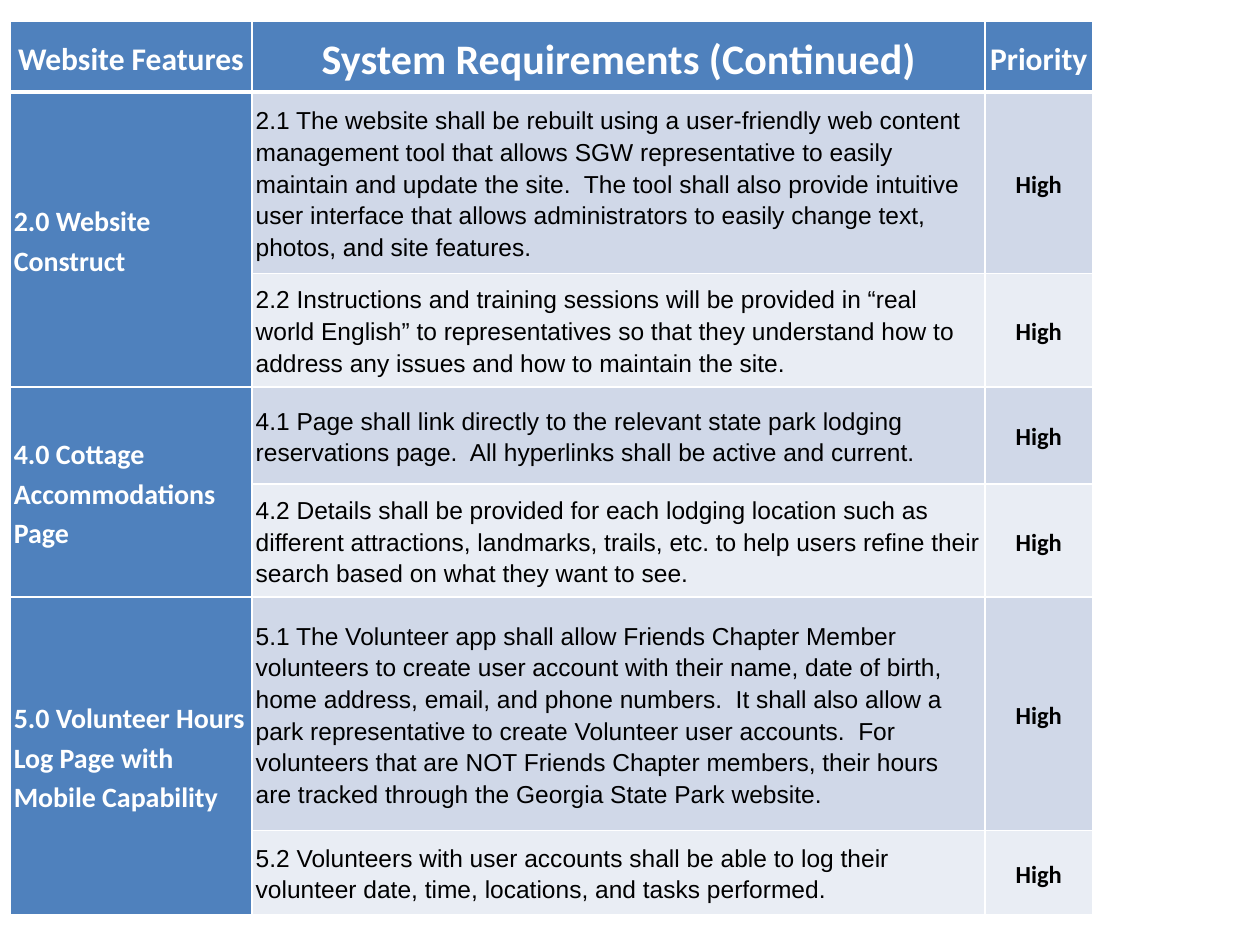
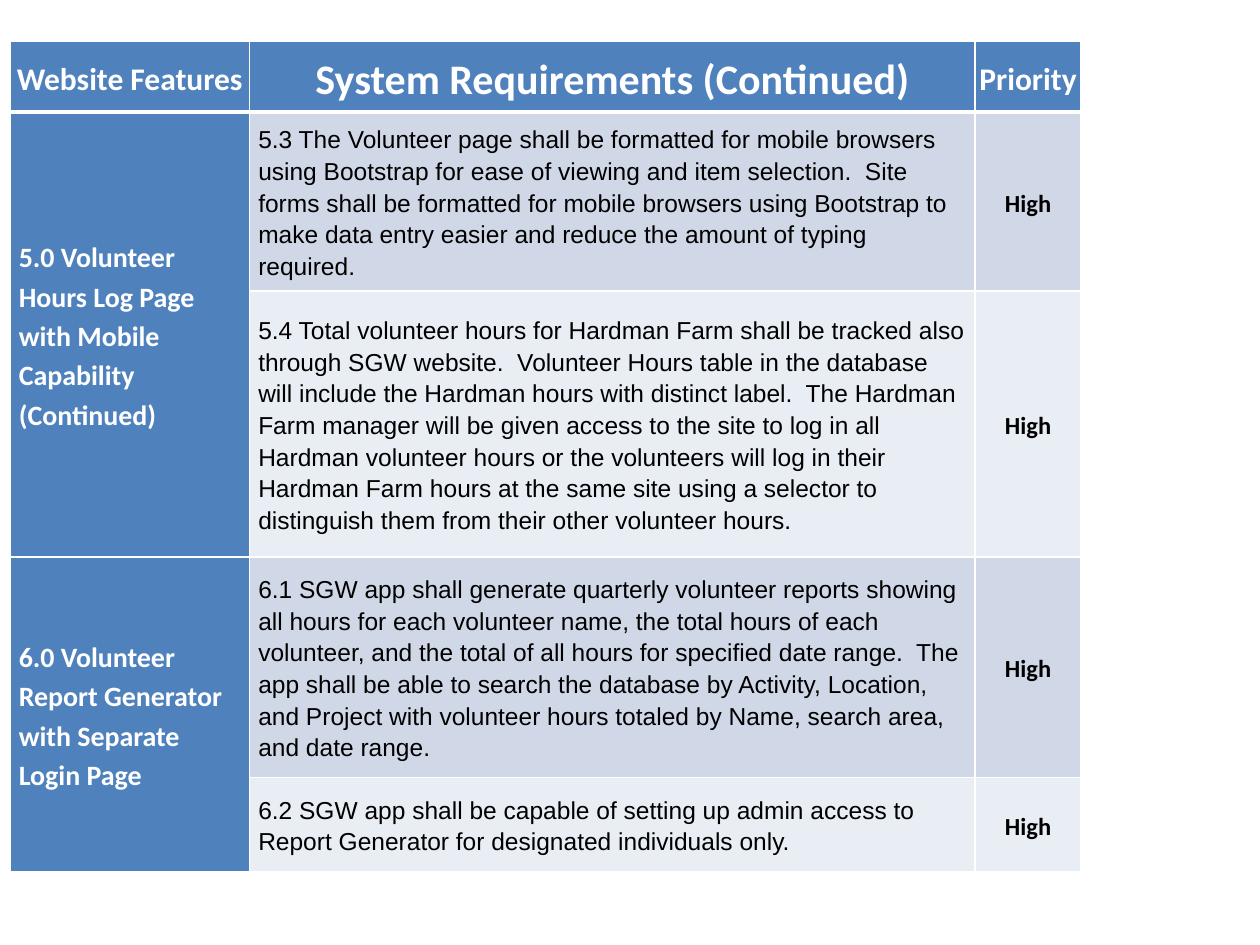
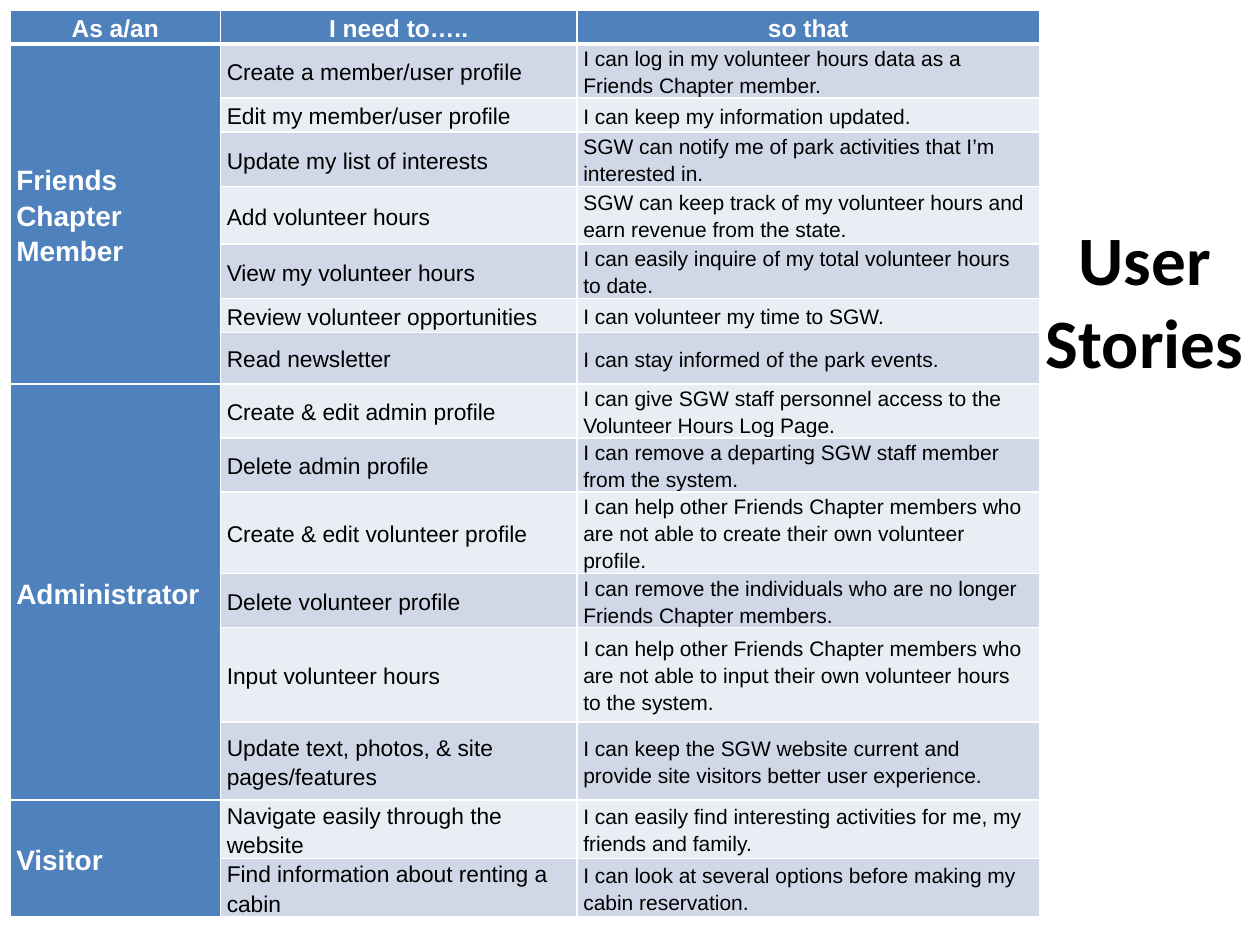
import pptx
import pptx.util
import pptx.dml.color
import pptx.enum.text
import pptx.oxml
import pptx.oxml.ns

Inches, Pt = pptx.util.Inches, pptx.util.Pt
RGBColor = pptx.dml.color.RGBColor
ALIGN = pptx.enum.text.PP_ALIGN
MIDDLE = pptx.enum.text.MSO_ANCHOR.MIDDLE

BLUE = RGBColor(0x4F, 0x81, 0xBD)
BANDS = [RGBColor(0xE9, 0xED, 0xF4), RGBColor(0xD0, 0xD8, 0xE8)]
WHITE = RGBColor(0xFF, 0xFF, 0xFF)
BLACK = RGBColor(0, 0, 0)

LEFT = 0.08
HEADS = ["Website Features", "System Requirements (Continued)", "Priority"]

# Formats: (font, size, bold, centred) for each column
REQ_HEAD = [("Calibri", 18, True, True), ("Calibri", 24, True, True),
            ("Calibri", 18, True, True)]
REQ_BODY = [("Calibri", 16, True, False), ("Arial", 14, False, False),
            ("Calibri", 14, True, True)]
STORY_HEAD = [("Arial", 14, True, True)] * 3
STORY_BODY = [("Arial", 16, True, False), ("Arial", 13, False, False),
              ("Arial", 12, False, False)]

PAGES = [
    {"title": None, "top": 0.17, "pads": (0.03, 0.03),
     "cols": [1.92, 5.82, 0.85],
     "rows": [0.56, 1.44, 0.9, 0.77, 0.9, 1.85, 0.67],
     "heads": HEADS, "styles": (REQ_HEAD, REQ_BODY),
     "groups": [
         ("2.0 Website Construct", [
             ("2.1 The website shall be rebuilt using a user-friendly web content "
              "management tool that allows SGW representative to easily maintain and "
              "update the site.  The tool shall also provide intuitive user interface "
              "that allows administrators to easily change text, photos, and site "
              "features.", "High"),
             ("2.2 Instructions and training sessions will be provided in “real world "
              "English” to representatives so that they understand how to address any "
              "issues and how to maintain the site.", "High")]),
         ("4.0 Cottage Accommodations Page", [
             ("4.1 Page shall link directly to the relevant state park lodging "
              "reservations page.  All hyperlinks shall be active and current.", "High"),
             ("4.2 Details shall be provided for each lodging location such as "
              "different attractions, landmarks, trails, etc. to help users refine "
              "their search based on what they want to see.", "High")]),
         ("5.0 Volunteer Hours Log Page with Mobile Capability", [
             ("5.1 The Volunteer app shall allow Friends Chapter Member volunteers to "
              "create user account with their name, date of birth, home address, email, "
              "and phone numbers.  It shall also allow a park representative to create "
              "Volunteer user accounts.  For volunteers that are NOT Friends Chapter "
              "members, their hours are tracked through the Georgia State Park website.",
              "High"),
             ("5.2 Volunteers with user accounts shall be able to log their volunteer "
              "date, time, locations, and tasks performed.", "High")])]},
    {"title": None, "top": 0.33, "pads": (0.03, 0.07),
     "cols": [1.9, 5.76, 0.84],
     "rows": [0.56, 1.42, 2.11, 1.75, 0.75],
     "heads": HEADS, "styles": (REQ_HEAD, REQ_BODY),
     "groups": [
         ("5.0 Volunteer Hours Log Page with Mobile Capability (Continued)", [
             ("5.3 The Volunteer page shall be formatted for mobile browsers using "
              "Bootstrap for ease of viewing and item selection.  Site forms shall be "
              "formatted for mobile browsers using Bootstrap to make data entry easier "
              "and reduce the amount of typing required.", "High"),
             ("5.4 Total volunteer hours for Hardman Farm shall be tracked also through "
              "SGW website.  Volunteer Hours table in the database will include the "
              "Hardman hours with distinct label.  The Hardman Farm manager will be "
              "given access to the site to log in all Hardman volunteer hours or the "
              "volunteers will log in their Hardman Farm hours at the same site using a "
              "selector to distinguish them from their other volunteer hours.", "High")]),
         ("6.0 Volunteer Report Generator with Separate Login Page", [
             ("6.1 SGW app shall generate quarterly volunteer reports showing all hours "
              "for each volunteer name, the total hours of each volunteer, and the total "
              "of all hours for specified date range.  The app shall be able to search "
              "the database by Activity, Location, and Project with volunteer hours "
              "totaled by Name, search area, and date range.", "High"),
             ("6.2 SGW app shall be capable of setting up admin access to Report "
              "Generator for designated individuals only.", "High")])]},
    {"title": "User Stories", "top": 0.08, "pads": (0.05, 0.05),
     "cols": [1.67, 2.83, 3.67],
     "rows": [0.27, 0.41, 0.27, 0.41, 0.46, 0.41, 0.27, 0.41,
              0.41, 0.41, 0.62, 0.41, 0.75, 0.62, 0.41, 0.41],
     "heads": ["As a/an", "I need to…..", "so that"],
     "styles": (STORY_HEAD, STORY_BODY),
     "groups": [
         ("Friends Chapter Member", [
             ("Create a member/user profile",
              "I can log in my volunteer hours data as a Friends Chapter member."),
             ("Edit my member/user profile", "I can keep my information updated."),
             ("Update my list of interests",
              "SGW can notify me of park activities that I’m interested in."),
             ("Add volunteer hours",
              "SGW can keep track of my volunteer hours and earn revenue from the state."),
             ("View my volunteer hours",
              "I can easily inquire of my total volunteer hours to date."),
             ("Review volunteer opportunities", "I can volunteer my time to SGW."),
             ("Read newsletter", "I can stay informed of the park events.")]),
         ("Administrator", [
             ("Create & edit admin profile",
              "I can give SGW staff personnel access to the Volunteer Hours Log Page."),
             ("Delete admin profile",
              "I can remove a departing SGW staff member from the system."),
             ("Create & edit volunteer profile",
              "I can help other Friends Chapter members who are not able to create "
              "their own volunteer profile."),
             ("Delete volunteer profile",
              "I can remove the individuals who are no longer Friends Chapter members."),
             ("Input volunteer hours",
              "I can help other Friends Chapter members who are not able to input "
              "their own volunteer hours to the system."),
             ("Update text, photos, & site pages/features",
              "I can keep the SGW website current and provide site visitors better "
              "user experience.")]),
         ("Visitor", [
             ("Navigate easily through the website",
              "I can easily find interesting activities for me, my friends and family."),
             ("Find information about renting a cabin",
              "I can look at several options before making my cabin reservation.")])]},
]


def write(frame, text, font="Calibri", size=14, bold=False, center=False,
          color=BLACK, space=None):
    para = frame.paragraphs[0]
    para.alignment = ALIGN.CENTER if center else ALIGN.LEFT
    para.line_spacing = space
    run = para.add_run()
    run.text = text
    run.font.name = font
    run.font.size = Pt(size)
    run.font.bold = bold
    run.font.color.rgb = color


def rule(cell, top, bottom):
    """Give a cell white borders, with widths in points above and below."""
    for side, width in (("L", 1), ("R", 1), ("T", top), ("B", bottom)):
        cell._tc.get_or_add_tcPr().append(pptx.oxml.parse_xml(
            f'<a:ln{side} {pptx.oxml.ns.nsdecls("a")} w="{Pt(width)}">'
            f'<a:solidFill><a:srgbClr val="{WHITE}"/></a:solidFill></a:ln{side}>'))


deck = pptx.Presentation()
deck.slide_width, deck.slide_height = Inches(10), Inches(7.5)
ONLY, BLANK = deck.slide_layouts[5], deck.slide_layouts[6]

for page in PAGES:
    slide = deck.slides.add_slide(ONLY if page["title"] else BLANK)
    if page["title"]:
        title = slide.shapes.title
        title.left, title.top = Inches(8.17), Inches(1.75)
        title.width, title.height = Inches(1.83), Inches(1.25)
        title.text_frame.vertical_anchor = MIDDLE
        title.text_frame.auto_size = pptx.enum.text.MSO_AUTO_SIZE.NONE
        write(title.text_frame, page["title"], size=39.6, bold=True, center=True)

    cols, rows = page["cols"], page["rows"]
    table = slide.shapes.add_table(
        len(rows), len(cols), Inches(LEFT), Inches(page["top"]),
        Inches(sum(cols)), Inches(sum(rows))).table
    for col, width in zip(table.columns, cols):
        col.width = Inches(width)
    for row, height in zip(table.rows, rows):
        row.height = Inches(height)

    lines = [page["heads"]]
    for name, items in page["groups"]:
        first = len(lines)
        lines += [(name if i == 0 else "", *item) for i, item in enumerate(items)]
        table.cell(first, 0).merge(table.cell(len(lines) - 1, 0))

    for r, line in enumerate(lines):
        body = int(r > 0)
        for c, text in enumerate(line):
            cell = table.cell(r, c)
            rule(cell, 3 if r == 1 else 1, 1 if body else 3)
            dark = r == 0 or c == 0
            cell.fill.solid()
            cell.fill.fore_color.rgb = BLUE if dark else BANDS[r % 2]
            cell.vertical_anchor = MIDDLE
            cell.margin_left = cell.margin_right = Inches(page["pads"][body])
            cell.margin_top = cell.margin_bottom = 0
            if text:
                font, size, bold, center = page["styles"][body][c]
                write(cell.text_frame, text, font=font, size=size, bold=bold,
                      center=center, color=WHITE if dark else BLACK, space=1.15)

deck.save("out.pptx")
